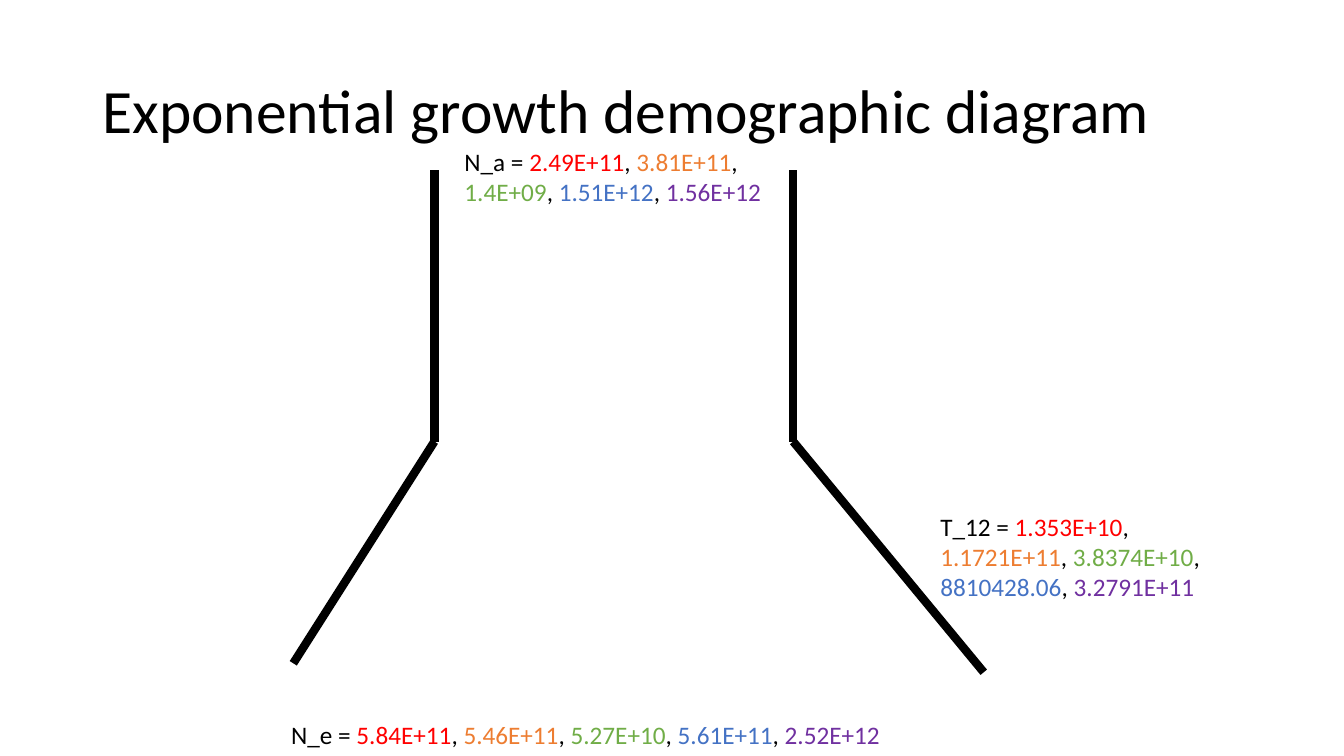
from dataclasses import dataclass

from lxml import etree
from pptx import Presentation
from pptx import util as u
from pptx.dml.color import RGBColor
from pptx.enum import shapes, text
from pptx.oxml.ns import qn
from pptx.slide import Slide

BLACK = "000000"
PALETTE = ["FF0000", "ED7D31", "70AD47", "4472C4", "7030A0"]
LEFT_X, RIGHT_X, TOP_Y, SPLIT_Y = 310.3, 566.6, 121.7, 315.4


@dataclass
class Branch:
    x1: float
    y1: float
    x2: float
    y2: float


@dataclass
class Label:
    name: str
    rows: list[list[str]]
    x: float
    y: float
    w: float
    h: float


BRANCHES = [
    Branch(LEFT_X, TOP_Y, LEFT_X, SPLIT_Y),
    Branch(RIGHT_X, TOP_Y, RIGHT_X, SPLIT_Y),
    Branch(LEFT_X, SPLIT_Y, 209.5, 473.8),
    Branch(RIGHT_X, SPLIT_Y, 702.7, 480.2),
]
LABELS = [
    Label("N_e", [["5.84E+11", "5.46E+11", "5.27E+10", "5.61E+11", "2.52E+12"]],
          200.9, 510.5, 452.2, 28.8),
    Label("T_12", [["1.353E+10"], ["1.1721E+11", "3.8374E+10"],
                   ["8810428.06", "3.2791E+11"]], 664.6, 361.4, 206.6, 72.7),
    Label("N_a", [["2.49E+11", "3.81E+11"], ["1.4E+09", "1.51E+12", "1.56E+12"]],
          324.7, 100.8, 228.2, 51.1),
]


def rgb(value: str) -> RGBColor:
    return RGBColor.from_string(value)


def set_attrs(obj, values: dict) -> None:
    for key, value in values.items():
        setattr(obj, key, value)


def add_run(p, words: str, color: str, size: float) -> None:
    r = p.add_run()
    r.text = words
    set_attrs(r.font, {"name": "Calibri", "size": u.Pt(size)})
    r.font.color.rgb = rgb(color)


def draw_title(s: Slide, words: str) -> None:
    sp = s.shapes.title
    set_attrs(sp, {"left": u.Pt(66), "top": u.Pt(28.75),
                   "width": u.Pt(828), "height": u.Pt(104.4)})
    sp.text_frame.vertical_anchor = text.MSO_ANCHOR.MIDDLE
    p = sp.text_frame.paragraphs[0]
    set_attrs(p, {"alignment": text.PP_ALIGN.LEFT, "line_spacing": 0.9})
    add_run(p, words, BLACK, 44)


def draw_branch(s: Slide, b: Branch) -> None:
    sp = s.shapes.add_connector(shapes.MSO_CONNECTOR.STRAIGHT,
                                u.Pt(b.x1), u.Pt(b.y1), u.Pt(b.x2), u.Pt(b.y2))
    sp.line.width = u.Pt(6)
    sp.line.color.rgb = rgb(BLACK)
    etree.SubElement(sp._element.spPr, qn("a:effectLst"))


def draw_label(s: Slide, label: Label) -> None:
    sp = s.shapes.add_textbox(u.Pt(label.x), u.Pt(label.y), u.Pt(label.w), u.Pt(label.h))
    tf = sp.text_frame
    set_attrs(tf, {"word_wrap": False,
                   "auto_size": text.MSO_AUTO_SIZE.SHAPE_TO_FIT_TEXT})
    colors = iter(PALETTE)
    for i, row in enumerate(label.rows):
        p = tf.add_paragraph() if i else tf.paragraphs[0]
        if i == 0:
            add_run(p, f"{label.name} = ", BLACK, 18)
        for j, value in enumerate(row):
            if j:
                add_run(p, ", ", BLACK, 18)
            add_run(p, value, next(colors), 18)
        if i < len(label.rows) - 1:
            add_run(p, ",", BLACK, 18)


def main() -> None:
    prs = Presentation()
    set_attrs(prs, {"slide_width": u.Pt(960), "slide_height": u.Pt(540)})
    s = prs.slides.add_slide(prs.slide_layouts[5])
    draw_title(s, "Exponential growth demographic diagram")
    for branch in BRANCHES:
        draw_branch(s, branch)
    for label in LABELS:
        draw_label(s, label)
    prs.save("out.pptx")


if __name__ == "__main__":
    main()
